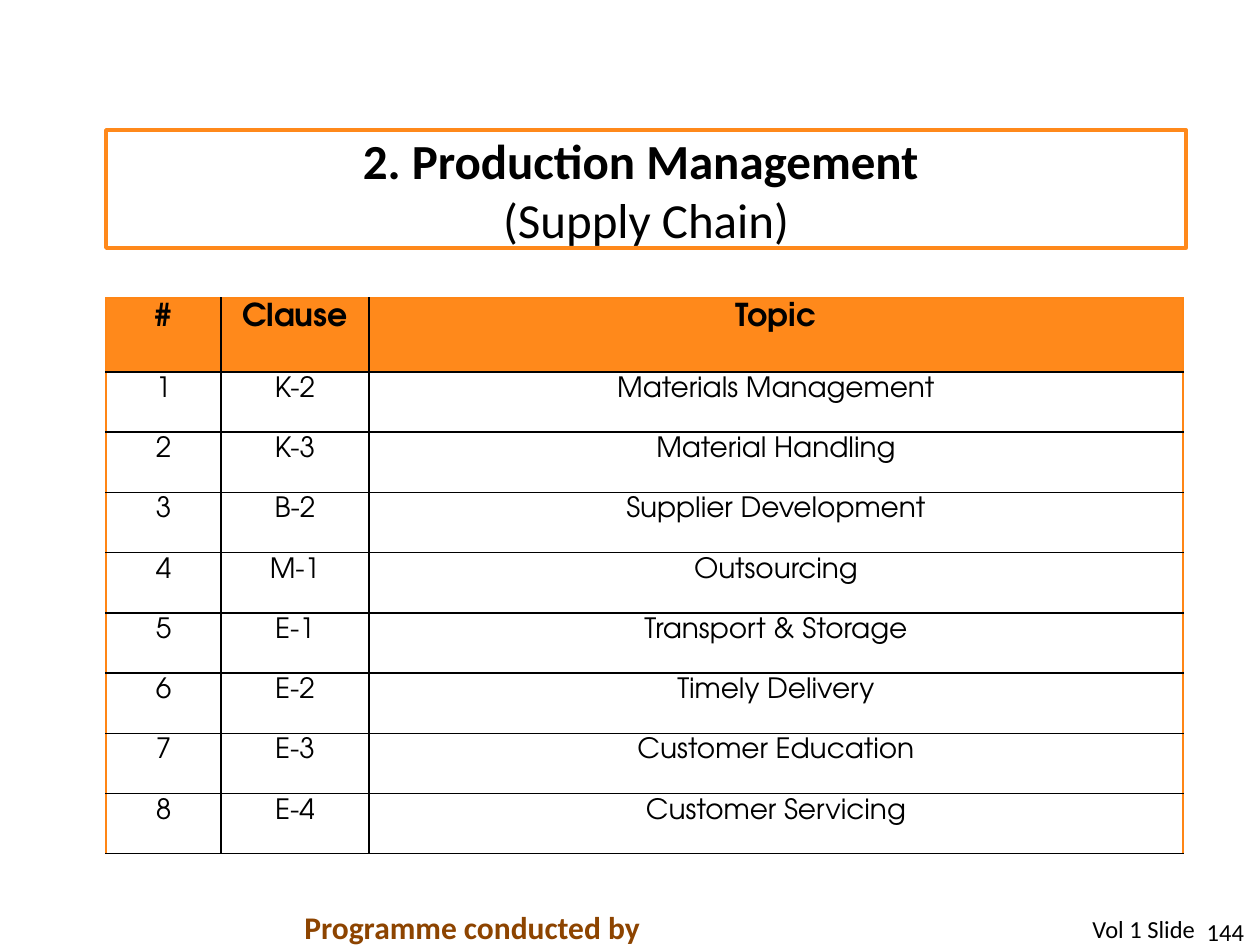
from lxml.etree import SubElement
from pptx import Presentation
from pptx.dml.color import RGBColor
from pptx.enum.shapes import MSO_SHAPE
from pptx.enum.text import MSO_ANCHOR, MSO_AUTO_SIZE, PP_ALIGN
from pptx.oxml.ns import qn
from pptx.util import Inches, Pt

PX = Inches(1) / 126
BLACK, WHITE, ORANGE, EDGE, BROWN = "000000", "FFFFFF", "FF891B", "FF8615", "8D4400"
HEADINGS = ["#", "Clause", "Topic"]
TOPICS = [
    ("K-2", "Materials Management"),
    ("K-3", "Material Handling"),
    ("B-2", "Supplier Development"),
    ("M-1", "Outsourcing"),
    ("E-1", "Transport & Storage"),
    ("E-2", "Timely Delivery"),
    ("E-3", "Customer Education"),
    ("E-4", "Customer Servicing"),
]


def px(length):
    return round(length * PX)


def rgb(value):
    return RGBColor.from_string(value)


class SlideBuilder:
    """Holds the slide and its fonts, and adds each kind of element."""

    def __init__(self, slide):
        self.shapes = slide.shapes
        self.text_font = "Calibri"
        self.table_font = "TeX Gyre Adventor"

    def style(self, paragraph, font, size, color=BLACK, bold=False, align=PP_ALIGN.LEFT):
        paragraph.alignment = align
        for run in paragraph.runs:
            run.font.name = font
            run.font.size = Pt(size)
            run.font.bold = bold
            run.font.color.rgb = rgb(color)

    def fit(self, frame, inset=None, anchor=MSO_ANCHOR.TOP):
        frame.word_wrap = True
        frame.auto_size = MSO_AUTO_SIZE.SHAPE_TO_FIT_TEXT
        frame.vertical_anchor = anchor
        if inset is not None:
            frame.margin_left = frame.margin_right = px(inset)
            frame.margin_top = frame.margin_bottom = px(inset)

    def label(self, text, box, size, color=BLACK, bold=False,
              align=PP_ALIGN.LEFT, inset=None, anchor=MSO_ANCHOR.TOP):
        frame = self.shapes.add_textbox(*map(px, box)).text_frame
        self.fit(frame, inset, anchor)
        frame.text = text
        self.style(frame.paragraphs[0], self.text_font, size, color, bold, align)

    def title(self, heading, subtitle, box):
        banner = self.shapes.add_shape(MSO_SHAPE.RECTANGLE, *map(px, box))
        banner.shadow.inherit = False
        banner.fill.solid()
        banner.fill.fore_color.rgb = rgb(WHITE)
        banner.line.color.rgb = rgb(ORANGE)
        banner.line.width = Pt(2)
        frame = banner.text_frame
        self.fit(frame, 0, MSO_ANCHOR.BOTTOM)
        frame.text = f"{heading}\n{subtitle}"
        for paragraph, bold in zip(frame.paragraphs, (True, False)):
            self.style(paragraph, self.text_font, 28, bold=bold, align=PP_ALIGN.CENTER)

    def borders(self, cell, outer_sides):
        properties = cell._tc.get_or_add_tcPr()
        for side in "LRTB":
            color, width = (EDGE, 0.75) if side in outer_sides else (BLACK, 1)
            line = SubElement(properties, qn(f"a:ln{side}"), w=str(Pt(width)))
            SubElement(SubElement(line, qn("a:solidFill")), qn("a:srgbClr"), val=color)

    def table(self, rows, box, widths, header_height):
        table = self.shapes.add_table(len(rows), len(widths), *map(px, box)).table
        table.first_row = table.horz_banding = False
        for column, width in zip(table.columns, widths):
            column.width = px(width)
        body_height = px(box[3] - header_height) // (len(rows) - 1)
        for r, values in enumerate(rows):
            table.rows[r].height = body_height if r else px(header_height)
            for c, value in enumerate(values):
                cell = table.cell(r, c)
                cell.margin_left = cell.margin_right = px(9)
                cell.margin_top = cell.margin_bottom = px(5)
                cell.text = value
                self.style(cell.text_frame.paragraphs[0], self.table_font,
                           16 if r else 18, bold=r == 0, align=PP_ALIGN.CENTER)
                outer = {0: "L", len(widths) - 1: "R"}.get(c, "")
                self.borders(cell, outer if r else outer + "T")
                if r:
                    cell.fill.background()
                else:
                    cell.fill.solid()
                    cell.fill.fore_color.rgb = rgb(ORANGE)


def main():
    deck = Presentation()
    deck.slide_width, deck.slide_height = Inches(10), Inches(7.5)
    builder = SlideBuilder(deck.slides.add_slide(deck.slide_layouts[6]))
    builder.label("144", (1196, 916, 48, 30), 14, align=PP_ALIGN.RIGHT,
                  inset=0, anchor=MSO_ANCHOR.BOTTOM)
    builder.label("Programme conducted by", (292, 902, 364, 50), 18, BROWN, bold=True)
    builder.label("Vol 1 Slide", (1080, 908, 130, 43), 14)
    numbered = [(str(n), *topic) for n, topic in enumerate(TOPICS, 1)]
    builder.table([HEADINGS, *numbered], (106, 298, 1077, 556), (115, 148, 814), 74)
    builder.title("2. Production Management ", "(Supply Chain)", (106, 130, 1080, 118))
    deck.save("out.pptx")


if __name__ == "__main__":
    main()
